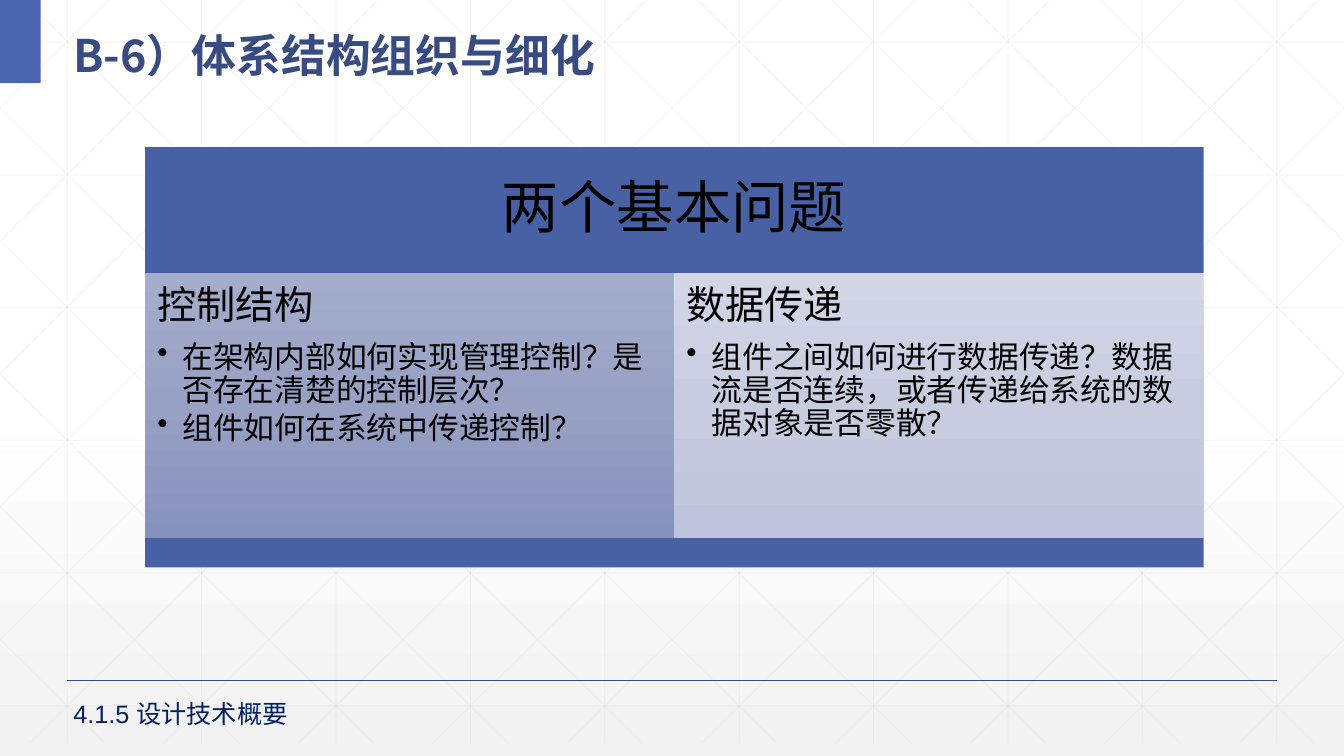
"""Build the slide on organising and refining an architecture."""
from copy import deepcopy
from dataclasses import dataclass

from lxml import etree
from pptx import Presentation
from pptx import util as u
from pptx.dml import color
from pptx.enum import shapes, text
from pptx.oxml import ns

WIDTH, HEIGHT = u.Inches(13.333), u.Inches(7.5)
Stops = tuple[tuple[float, str], ...]


@dataclass(frozen=True)
class Theme:
    accent: str = "4A66AC"
    heading: str = "384C81"
    band: str = "4761A4"
    body: str = "000000"
    section: str = "002060"
    mesh: str = "D9D9D9"
    backdrop: Stops = ((0, "FFFFFF"), (0.53, "FFFFFF"), (1, "F2F2F2"))
    control: Stops = ((0, "A5ADCD"), (0.5, "98A1C3"), (1, "8691BD"))
    transfer: Stops = ((0, "D2D6E6"), (0.5, "C7CCDF"), (1, "BEC4DC"))
    heading_font: str = "Noto Sans CJK SC"
    body_font: str = "Arial"
    heading_size: int = 32
    banner_size: int = 41
    topic_size: int = 28
    question_size: int = 22
    section_size: int = 18


@dataclass(frozen=True)
class Area:
    """Place and size in percent of the slide."""
    left: float
    top: float
    width: float
    height: float

    def box(self) -> tuple[int, int, int, int]:
        return (across(self.left), down(self.top), across(self.width), down(self.height))

    def share(self, x: float, y: float, w: float, h: float) -> "Area":
        return Area(self.left + x * self.width, self.top + y * self.height,
                    w * self.width, h * self.height)


@dataclass(frozen=True)
class Topic:
    name: str
    questions: tuple[str, ...]
    stops: Stops


THEME = Theme()
PANEL = Area(10.8, 19.47, 78.75, 55.6)
BANNER_SHARE, TOPIC_SHARE, BASE_SHARE = 0.3, 0.63, 0.07
TOPICS = (
    Topic("控制结构", ("在架构内部如何实现管理控制？是否存在清楚的控制层次？",
                   "组件如何在系统中传递控制？"), THEME.control),
    Topic("数据传递", ("组件之间如何进行数据传递？数据流是否连续，或者传递给系统的数据对象是否零散？",),
          THEME.transfer),
)


def across(percent: float) -> int:
    return round(WIDTH * percent / 100)


def down(percent: float) -> int:
    return round(HEIGHT * percent / 100)


def rgb(value: str) -> color.RGBColor:
    return color.RGBColor.from_string(value)


def paint_gradient(fill, root, stops: Stops) -> None:
    fill.gradient()
    fill.gradient_angle = 270
    stop_list = next(root.iter(ns.qn("a:gsLst")))
    stop_list.insert(1, deepcopy(stop_list[0]))
    for stop, (position, value) in zip(fill.gradient_stops, stops):
        stop.position = position
        stop.color.rgb = rgb(value)


def draw_line(slide, start: tuple[float, float], end: tuple[float, float],
              ink: str, weight: float, opacity: int = 100) -> None:
    line = slide.shapes.add_connector(
        shapes.MSO_CONNECTOR.STRAIGHT, across(start[0]), down(start[1]),
        across(end[0]), down(end[1]))
    line.line.color.rgb = rgb(ink)
    line.line.width = u.Pt(weight)
    properties = line._element.spPr
    if opacity < 100:
        tint = next(properties.iter(ns.qn("a:srgbClr")))
        etree.SubElement(tint, ns.qn("a:alpha"), val=str(opacity * 1000))
    etree.SubElement(properties, ns.qn("a:effectLst"))


def draw_mesh(slide) -> None:
    column, row, first_row, bottom = 10, 17.55, 5.6, 98.27
    run, first_slant = 55.9, 1.88
    lines = [((5 + column * i, 0), (5 + column * i, bottom)) for i in range(10)]
    lines += [((0, first_row + row * i), (100, first_row + row * i)) for i in range(6)]
    for i in range(-5, 10):
        x = first_slant + column * i
        left, right = max(x, 0), min(x + run, 100)
        top, end = ((edge - x) / run * bottom for edge in (left, right))
        lines += [((left, top), (right, end)), ((100 - left, top), (100 - right, end))]
    for start, end in lines:
        draw_line(slide, start, end, THEME.mesh, 0.5, 25)


def add_block(slide, area: Area, fill: str | Stops):
    block = slide.shapes.add_shape(shapes.MSO_SHAPE.RECTANGLE, *area.box())
    block.shadow.inherit = False
    block.line.fill.background()
    if isinstance(fill, str):
        block.fill.solid()
        block.fill.fore_color.rgb = rgb(fill)
    else:
        paint_gradient(block.fill, block._element, fill)
    return block


def set_frame(frame, anchor, inset: float | None = None) -> None:
    frame.word_wrap = True
    frame.vertical_anchor = anchor
    if inset is not None:
        frame.margin_left = frame.margin_right = u.Inches(inset)
        frame.margin_top = frame.margin_bottom = u.Inches(inset)


def write(paragraph, words: str, size: int, ink: str = THEME.body,
          font: str = THEME.body_font, bold: bool = False, spacing: float = 0.9,
          after: float = 0, align=text.PP_ALIGN.LEFT, bullet: bool = False) -> None:
    if bullet:
        paragraph.level = 1
        properties = paragraph._p.get_or_add_pPr()
        properties.set("marL", str(u.Inches(0.25)))
        properties.set("indent", str(u.Inches(-0.25)))
        etree.SubElement(properties, ns.qn("a:buChar"), char="•")
    paragraph.alignment = align
    paragraph.line_spacing = spacing
    paragraph.space_after = u.Pt(size * after)
    run = paragraph.add_run()
    run.text = words
    run.font.size, run.font.bold, run.font.name = u.Pt(size), bold, font
    run.font.color.rgb = rgb(ink)
    etree.SubElement(run._r.get_or_add_rPr(), ns.qn("a:ea"), typeface=font)


def add_label(slide, area: Area, words: str, size: int, ink: str, **style) -> None:
    frame = slide.shapes.add_textbox(*area.box()).text_frame
    set_frame(frame, text.MSO_ANCHOR.MIDDLE)
    write(frame.paragraphs[0], words, size, ink, **style)


def add_topic(slide, area: Area, topic: Topic) -> None:
    frame = add_block(slide, area, topic.stops).text_frame
    set_frame(frame, text.MSO_ANCHOR.TOP, 0.12)
    write(frame.paragraphs[0], topic.name, THEME.topic_size, after=0.35)
    for question in topic.questions:
        write(frame.add_paragraph(), question, THEME.question_size, after=0.15, bullet=True)


def add_panel(slide) -> None:
    banner = add_block(slide, PANEL.share(0, 0, 1, BANNER_SHARE), THEME.band).text_frame
    set_frame(banner, text.MSO_ANCHOR.MIDDLE, 0.17)
    write(banner.paragraphs[0], "两个基本问题", THEME.banner_size,
          align=text.PP_ALIGN.CENTER)
    width = 1 / len(TOPICS)
    for i, topic in enumerate(TOPICS):
        add_topic(slide, PANEL.share(i * width, BANNER_SHARE, width, TOPIC_SHARE), topic)
    add_block(slide, PANEL.share(0, 1 - BASE_SHARE, 1, BASE_SHARE), THEME.band)


def main() -> None:
    deck = Presentation()
    deck.slide_width, deck.slide_height = WIDTH, HEIGHT
    slide = deck.slides.add_slide(deck.slide_layouts[6])
    paint_gradient(slide.background.fill, slide.element, THEME.backdrop)
    draw_mesh(slide)
    draw_line(slide, (5, 90), (95, 90), THEME.heading, 1)
    add_block(slide, Area(0, 0, 3.03, 11), THEME.accent)
    add_label(slide, Area(4.72, 1.33, 93.15, 9.73), "B-6）体系结构组织与细化",
              THEME.heading_size, THEME.heading, font=THEME.heading_font,
              bold=True, spacing=1.3)
    add_panel(slide)
    add_label(slide, Area(4.72, 91.73, 26.48, 5.33), "4.1.5 设计技术概要",
              THEME.section_size, THEME.section, spacing=1.0)
    deck.save("out.pptx")


if __name__ == "__main__":
    main()
